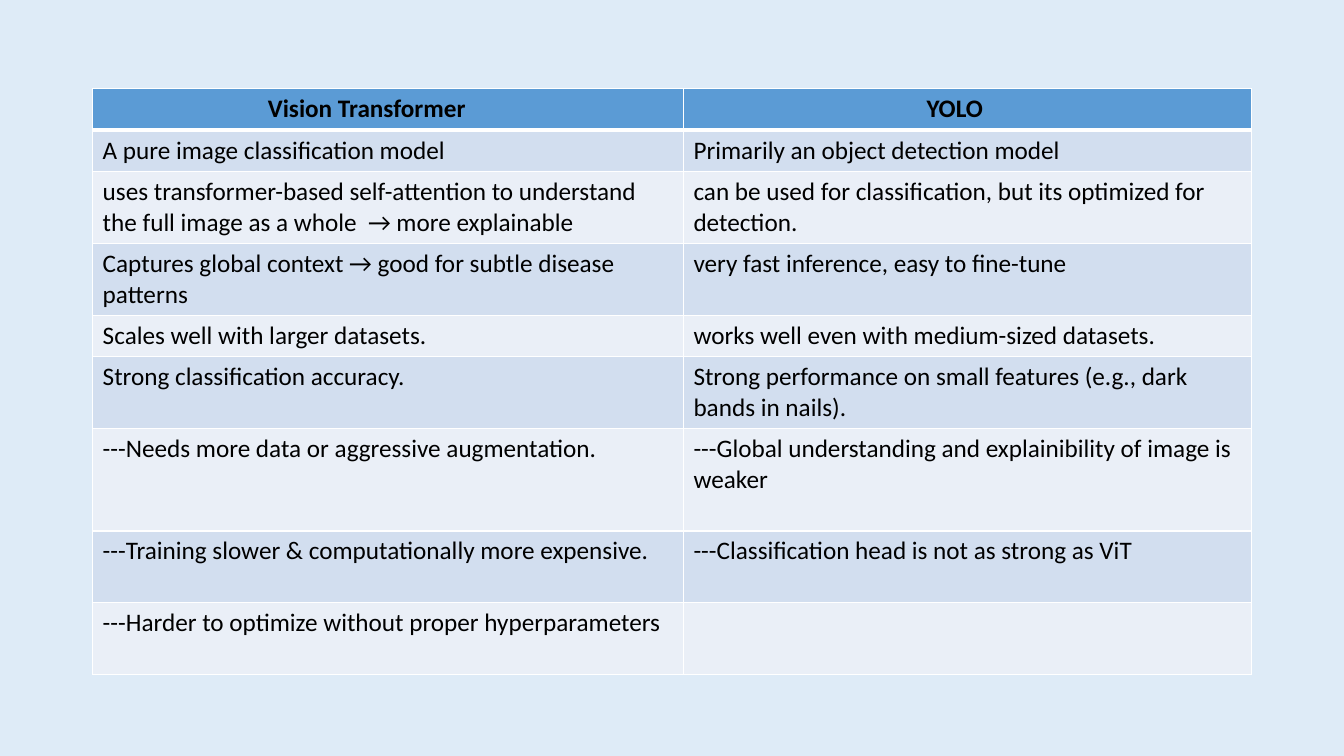
from lxml import etree
from pptx import Presentation
from pptx.dml.color import RGBColor
from pptx.oxml.ns import qn
from pptx.util import Pt

BACKGROUND = RGBColor(0xDE, 0xEB, 0xF7)
HEADER_FILL = RGBColor(0x5B, 0x9B, 0xD5)
BAND_FILLS = (RGBColor(0xEA, 0xEF, 0xF7), RGBColor(0xD2, 0xDE, 0xEF))
BLACK = RGBColor(0, 0, 0)
WHITE = RGBColor(0xFF, 0xFF, 0xFF)
BLANK_LAYOUT = 6

# Table content: header first, then one pair per row
COMPARISON = [
    ("Vision Transformer", "YOLO"),
    ("A pure image classification model", "Primarily an object detection model"),
    ("uses transformer-based self-attention to understand the full image as a whole  → more explainable",
     "can be used for classification, but its optimized for detection."),
    ("Captures global context → good for subtle disease patterns",
     "very fast inference, easy to fine-tune"),
    ("Scales well with larger datasets.", "works well even with medium-sized datasets."),
    ("Strong classification accuracy.",
     "Strong performance on small features (e.g., dark bands in nails)."),
    ("---Needs more data or aggressive augmentation.",
     "---Global understanding and explainibility of image is weaker"),
    ("---Training slower & computationally more expensive.",
     "---Classification head is not as strong as ViT"),
    ("---Harder to optimize without proper hyperparameters", ""),
]
ONE_LINE, TWO_LINES, THREE_LINES = 29.6, 51.2, 73.4
ROW_HEIGHTS = [ONE_LINE, ONE_LINE, TWO_LINES, TWO_LINES, ONE_LINE,
               TWO_LINES, THREE_LINES, TWO_LINES, TWO_LINES]
COLUMN_WIDTHS = [422, 406]
HEADER_INDENTS = [118, 166.5]
CELL_MARGIN = 7.2


def write_text(text_frame, text, font="Calibri", size=18, color=BLACK, bold=False):
    paragraph = text_frame.paragraphs[0]
    paragraph.font.size = Pt(size)
    if not text:
        return
    run = paragraph.add_run()
    run.text = text
    run.font.name = font
    run.font.size = Pt(size)
    run.font.color.rgb = color
    run.font.bold = bold


class SlideBuilder:
    """Holds the presentation style and the current slide."""

    def __init__(self, presentation, background):
        self.slide = presentation.slides.add_slide(presentation.slide_layouts[BLANK_LAYOUT])
        fill = self.slide.background.fill
        fill.solid()
        fill.fore_color.rgb = background

    def add_borders(self, cell, bottom=1, top=1):
        properties = cell._tc.get_or_add_tcPr()
        for side, width in (("L", 1), ("R", 1), ("T", top), ("B", bottom)):
            line = etree.SubElement(properties, qn(f"a:ln{side}"), w=str(Pt(width)))
            solid = etree.SubElement(line, qn("a:solidFill"))
            etree.SubElement(solid, qn("a:srgbClr"), val=str(WHITE))

    def add_cell(self, cell, text, fill, indent=0, bold=False, top=1, bottom=1):
        self.add_borders(cell, bottom=bottom, top=top)
        cell.fill.solid()
        cell.fill.fore_color.rgb = fill
        cell.margin_left = Pt(CELL_MARGIN + indent)
        write_text(cell.text_frame, text, bold=bold)

    def add_comparison(self, left, top, rows, widths, heights):
        frame = self.slide.shapes.add_table(len(rows), len(widths), Pt(left), Pt(top),
                                            Pt(sum(widths)), Pt(sum(heights)))
        table = frame.table
        for column, width in zip(table.columns, widths):
            column.width = Pt(width)
        for row, height in zip(table.rows, heights):
            row.height = Pt(height)
        # Header row
        for column, text in enumerate(rows[0]):
            self.add_cell(table.cell(0, column), text, HEADER_FILL,
                          indent=HEADER_INDENTS[column], bold=True, bottom=3)
        # Banded body rows
        for index, texts in enumerate(rows[1:], start=1):
            for column, text in enumerate(texts):
                self.add_cell(table.cell(index, column), text, BAND_FILLS[index % 2],
                              top=3 if index == 1 else 1)


def main():
    presentation = Presentation()
    presentation.slide_width = Pt(960)
    presentation.slide_height = Pt(540)
    builder = SlideBuilder(presentation, BACKGROUND)
    builder.add_comparison(66.2, 63.5, COMPARISON, COLUMN_WIDTHS, ROW_HEIGHTS)
    presentation.save("out.pptx")


if __name__ == "__main__":
    main()
